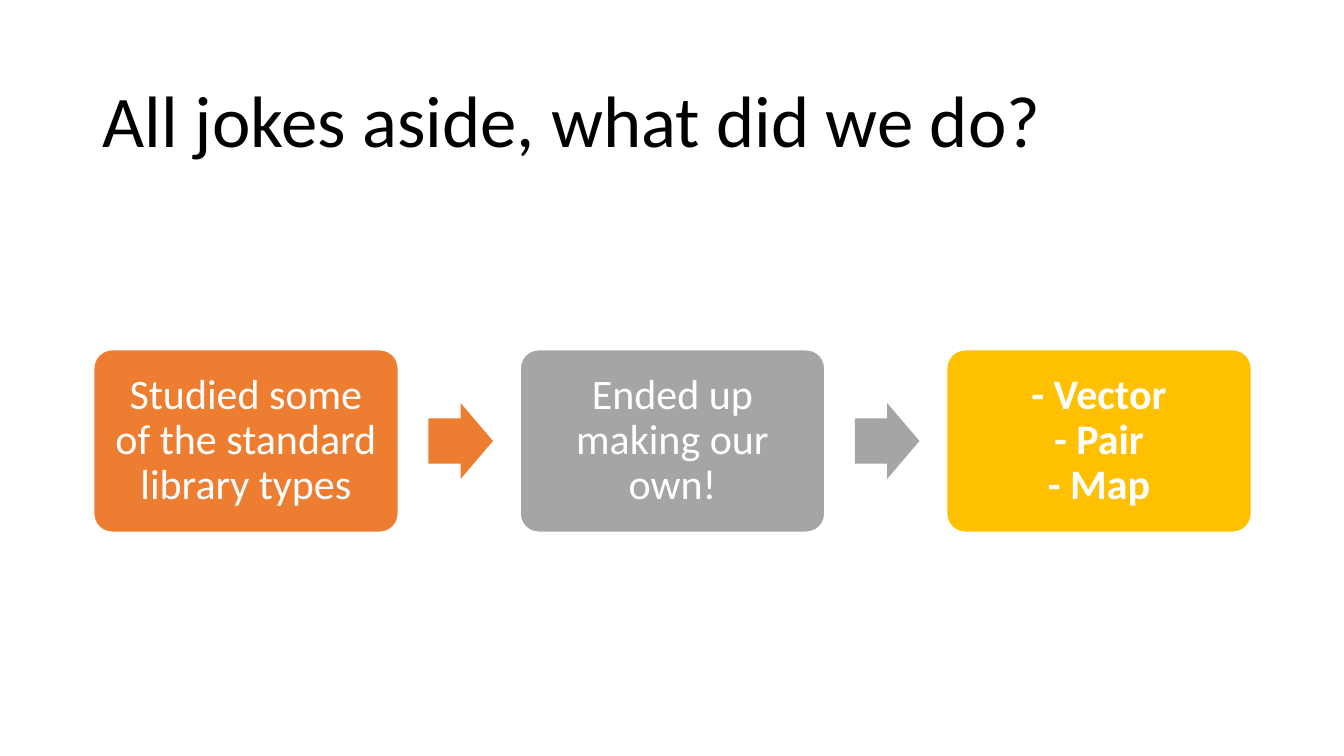
from pptx import Presentation
from pptx.dml.color import RGBColor
from pptx.enum.shapes import MSO_SHAPE
from pptx.enum.text import MSO_ANCHOR, PP_ALIGN
from pptx.util import Inches, Pt

BLACK = RGBColor(0x00, 0x00, 0x00)
WHITE = RGBColor(0xFF, 0xFF, 0xFF)
ORANGE = RGBColor(0xED, 0x7D, 0x31)
GRAY = RGBColor(0xA5, 0xA5, 0xA5)
GOLD = RGBColor(0xFF, 0xC0, 0x00)

STEPS = [
    ("Studied some of the standard library types", ORANGE, False),
    ("Ended up making our own!", GRAY, False),
    ("- Vector\v- Pair\v- Map", GOLD, True),
]
STEP_W, ARROW_W, ARROW_H, LEAD = 3.02, 0.64, 0.75, 0.3


def set_all(item, values):
    """Set each named value on the item."""
    for name, value in values.items():
        setattr(item, name, value)


def write(shape, text, size, color, align, inset, bold=False):
    """Put one styled paragraph in the shape, centred in height."""
    frame = shape.text_frame
    frame.text = text
    sides = ("left", "top", "right", "bottom")
    set_all(frame, {f"margin_{side}": Inches(gap) for side, gap in zip(sides, inset)})
    set_all(frame, {"word_wrap": True, "vertical_anchor": MSO_ANCHOR.MIDDLE})
    line = frame.paragraphs[0]
    set_all(line, {"alignment": align, "line_spacing": 0.9})
    set_all(line.font, {"name": "Calibri", "size": Pt(size), "bold": bold})
    line.font.color.rgb = color


def add_block(slide, kind, box, fill, adjust):
    """Add a flat filled shape in the box."""
    block = slide.shapes.add_shape(kind, *map(Inches, box))
    block.shadow.inherit = False
    block.fill.solid()
    block.fill.fore_color.rgb = fill
    block.line.fill.background()
    for spot, value in enumerate(adjust):
        block.adjustments[spot] = value
    return block


def add_title(slide, box, text):
    """Place the title in the box."""
    title = slide.shapes.title
    names = ("left", "top", "width", "height")
    set_all(title, dict(zip(names, map(Inches, box))))
    write(title, text, 52, BLACK, PP_ALIGN.LEFT, (0.1, 0.05, 0.1, 0.05))


def add_flow(slide, box, steps):
    """Spread the steps over the box, with an arrow after each but the last."""
    left, top, width, height = box
    pitch = (width - STEP_W) / (len(steps) - 1)
    for spot, (text, fill, bold) in enumerate(steps):
        x = left + spot * pitch
        step = add_block(slide, MSO_SHAPE.ROUNDED_RECTANGLE,
                         (x, top, STEP_W, height), fill, [0.1])
        step.line.color.rgb = WHITE
        step.line.width = Pt(1)
        write(step, text, 30, WHITE, PP_ALIGN.CENTER, (0.12,) * 4, bold)
        if spot < len(steps) - 1:
            place = (x + STEP_W + LEAD, top + (height - ARROW_H) / 2, ARROW_W, ARROW_H)
            add_block(slide, MSO_SHAPE.RIGHT_ARROW, place, fill, [0.6, 0.5])


def main():
    """Build and save the slide."""
    deck = Presentation()
    set_all(deck, {"slide_width": Inches(13.33), "slide_height": Inches(7.5)})
    slide = deck.slides.add_slide(deck.slide_layouts.get_by_name("Title Only"))
    add_title(slide, (0.92, 0.61, 11.5, 1.24), "All jokes aside, what did we do?")
    add_flow(slide, (0.93, 3.47, 11.48, 1.81), STEPS)
    deck.save("out.pptx")


if __name__ == "__main__":
    main()
